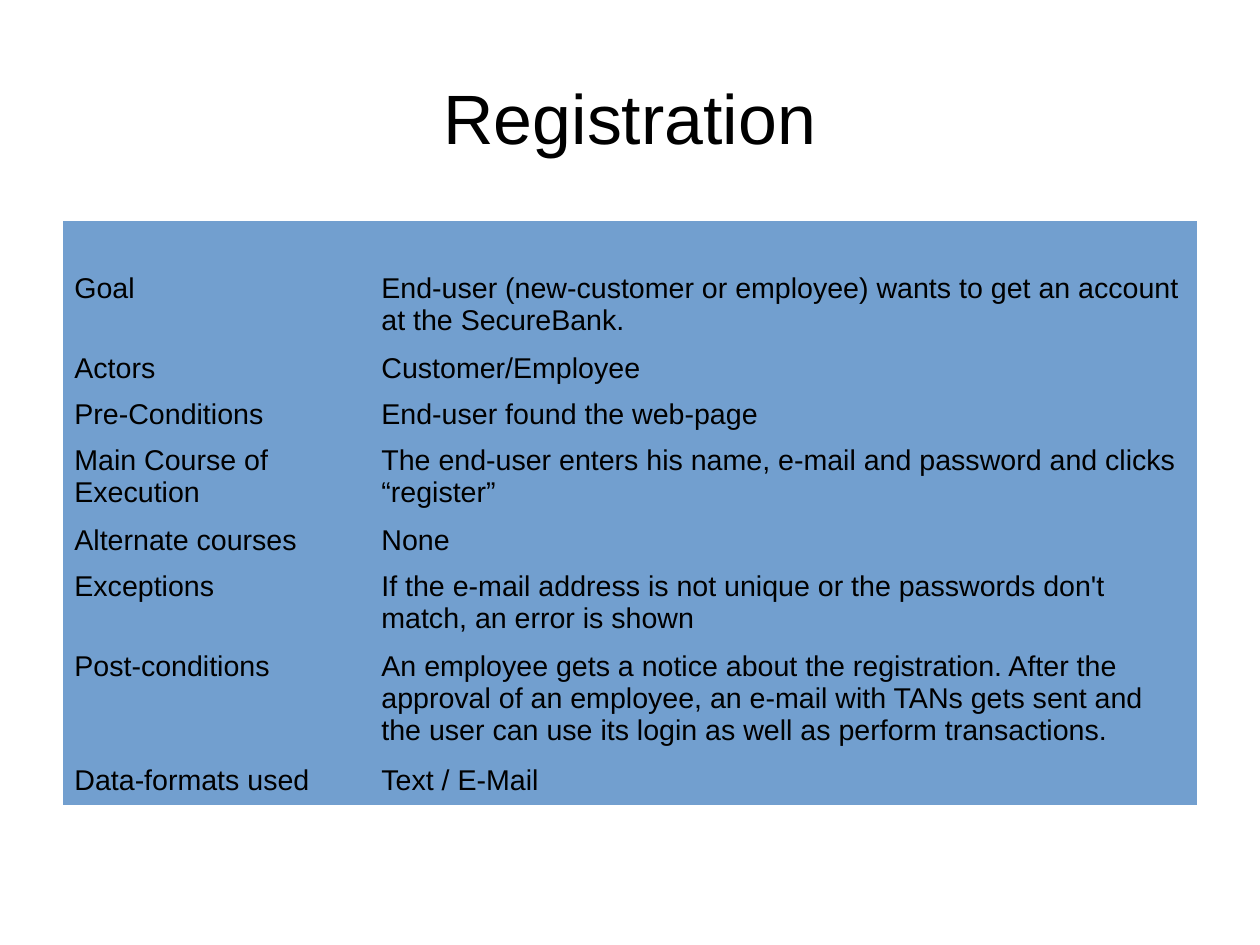
from pptx import Presentation
from pptx.dml.color import RGBColor
from pptx.enum.text import MSO_ANCHOR, PP_ALIGN
from pptx.util import Emu, Pt

PIXEL = 914400 / 114.3
BLACK = RGBColor(0x00, 0x00, 0x00)
BLUE = RGBColor(0x72, 0x9F, 0xCF)
PLAIN_TABLE = "{2D5ABB26-0587-4C30-8999-92F81FD0307C}"

COLUMN_WIDTHS = [307, 827]
LINE_HEIGHTS = {1: 46, 2: 80, 3: 114}
# Label, description and number of text lines in each row
USE_CASE = [
    ("", "", 1),
    ("Goal", "End-user (new-customer or employee) wants to get an account "
     "at the SecureBank.", 2),
    ("Actors", "Customer/Employee", 1),
    ("Pre-Conditions", "End-user found the web-page", 1),
    ("Main Course of Execution", "The end-user enters his name, e-mail and "
     "password and clicks “register”", 2),
    ("Alternate courses", "None", 1),
    ("Exceptions", "If the e-mail address is not unique or the passwords "
     "don't match, an error is shown", 2),
    ("Post-conditions", "An employee gets a notice about the registration. "
     "After the approval of an employee, an e-mail with TANs gets sent and "
     "the user can use its login as well as perform transactions.", 3),
    ("Data-formats used", "Text / E-Mail", 1),
]


def px(length):
    """Turn pixels into EMU."""
    return Emu(round(length * PIXEL))


class Page:
    """The current slide and its style."""

    font_name = "Arial"

    def __init__(self, deck):
        """Add a title-only slide to the deck."""
        self.slide = deck.slides.add_slide(deck.slide_layouts[5])

    def style(self, para, size):
        """Set the font of a paragraph."""
        para.font.name = self.font_name
        para.font.size = Pt(size)
        para.font.color.rgb = BLACK

    def title(self, text, left, top, width, height):
        """Place and fill the title placeholder."""
        box = self.slide.shapes.title
        box.left, box.top = px(left), px(top)
        box.width, box.height = px(width), px(height)
        frame = box.text_frame
        frame.text = text
        frame.vertical_anchor = MSO_ANCHOR.MIDDLE
        frame.margin_left = frame.margin_right = 0
        frame.margin_top = frame.margin_bottom = 0
        para = frame.paragraphs[0]
        para.alignment = PP_ALIGN.CENTER
        self.style(para, 44)

    def table(self, rows, left, top, widths):
        """Add a plain table whose row heights follow their line counts."""
        heights = [LINE_HEIGHTS[lines] for *_, lines in rows]
        frame = self.slide.shapes.add_table(
            len(rows), len(widths), px(left), px(top),
            px(sum(widths)), px(sum(heights)))
        table = frame.table
        table.first_row = table.horz_banding = False
        table._tbl.tblPr.find("{*}tableStyleId").text = PLAIN_TABLE
        for column, width in zip(table.columns, widths):
            column.width = px(width)
        for row, height, (*texts, _) in zip(table.rows, heights, rows):
            row.height = px(height)
            for cell, text in zip(row.cells, texts):
                cell.fill.solid()
                cell.fill.fore_color.rgb = BLUE
                cell.text = text
                self.style(cell.text_frame.paragraphs[0], 18)


deck = Presentation()
deck.slide_width, deck.slide_height = px(1260), px(945)
page = Page(deck)
page.title("Registration", 63, 38, 1134, 158)
page.table(USE_CASE, 63, 221, COLUMN_WIDTHS)
deck.save("out.pptx")
